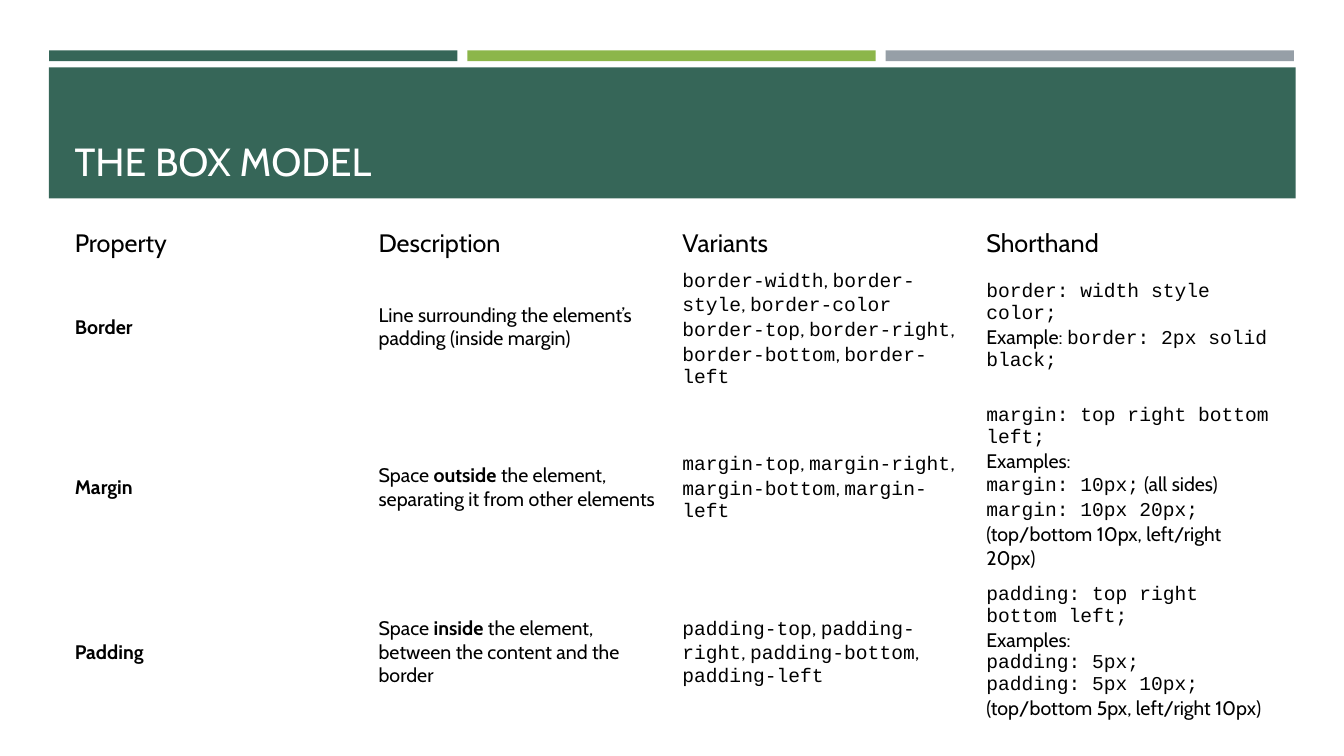
from copy import deepcopy

from pptx import Presentation
from pptx.dml.color import RGBColor
from pptx.enum.shapes import MSO_SHAPE
from pptx.enum.text import MSO_ANCHOR
from pptx.util import Cm, Pt

COLORS = {
    "green": "366658",
    "lime": "8CB64A",
    "grey": "969FA7",
    "black": "000000",
    "white": "FFFFFF",
}
BODY = "Cabin"
CODE = "Courier New"
LEFT, WIDTH = 1.63, 30.63


def text(s):
    return s, BODY, False


def strong(s):
    return s, BODY, True


def code(s):
    return s, CODE, False


def variants(prop, *names):
    runs = []
    for name in names:
        if runs:
            runs.append(text(", "))
        runs.append(code(f"{prop}-{name}"))
    return runs


ROWS = [
    (5.61, 1.02, 18, [
        [[text(name)]]
        for name in ("Property", "Description", "Variants", "Shorthand")
    ]),
    (6.63, 3.18, 14, [
        [[strong("Border")]],
        [[text("Line surrounding the element’s padding (inside margin)")]],
        [variants("border", "width", "style", "color") + [code(" \n")]
         + variants("border", "top", "right", "bottom", "left")],
        [[code("border: width style color; \n"), text("Example: "),
          code("border: 2px solid black;")]],
    ]),
    (9.86, 4.85, 14, [
        [[strong("Margin")]],
        [[text("Space "), strong("outside"),
          text(" the element, separating it from other elements")]],
        [variants("margin", "top", "right", "bottom", "left")],
        [[code("margin: top right bottom left; \n"), text("Examples: \n"),
          code("margin: 10px;"), text(" (all sides) \n"),
          code("margin: 10px 20px;"),
          text(" (top/bottom 10px, left/right 20px)")]],
    ]),
    (14.4, 4.06, 14, [
        [[strong("Padding")]],
        [[text("Space "), strong("inside"),
          text(" the element, between the content and the border")]],
        [variants("padding", "top", "right", "bottom", "left")],
        [[code("padding: top right bottom left; \n"), text("Examples: \n"),
          code("padding: 5px; \npadding: 5px 10px;")],
         [text("(top/bottom 5px, left/right 10px)")]],
    ]),
]


def add_run(p, content, font, bold, size, color):
    for i, line in enumerate(content.split("\n")):
        if i:
            p.add_line_break()
            p._p[-1].append(deepcopy(r._r.rPr))
        if line:
            r = p.add_run()
            r.text = line
            r.font.name = font
            r.font.size = Pt(size)
            r.font.bold = bold
            r.font.color.rgb = RGBColor.from_string(COLORS[color])


def fill_text(tf, paragraphs, size, color):
    for i, runs in enumerate(paragraphs):
        p = tf.add_paragraph() if i else tf.paragraphs[0]
        for content, font, bold in runs:
            add_run(p, content, font, bold, size, color)


def add_bar(s, left, top, width, height, color):
    sp = s.shapes.add_shape(
        MSO_SHAPE.RECTANGLE, Cm(left), Cm(top), Cm(width), Cm(height))
    sp.shadow.inherit = False
    sp.fill.solid()
    sp.fill.fore_color.rgb = RGBColor.from_string(COLORS[color])
    sp.line.fill.background()


def add_title(s, title):
    sp = s.shapes.add_textbox(Cm(LEFT), Cm(1.96), Cm(WIDTH), Cm(2.82))
    tf = sp.text_frame
    tf.word_wrap = True
    tf.vertical_anchor = MSO_ANCHOR.BOTTOM
    fill_text(tf, [[text(title)]], 28, "white")


def add_row_table(s, top, height, size, cells):
    table = s.shapes.add_table(
        1, len(cells), Cm(LEFT), Cm(top), Cm(WIDTH), Cm(height)).table
    table.first_row = False
    table.horz_banding = False
    for cell, paragraphs in zip(table.rows[0].cells, cells):
        cell.fill.background()
        cell.vertical_anchor = MSO_ANCHOR.MIDDLE
        fill_text(cell.text_frame, paragraphs, size, "black")


def main():
    prs = Presentation()
    prs.slide_width, prs.slide_height = Cm(33.87), Cm(19.05)
    s = prs.slides.add_slide(prs.slide_layouts[6])
    for i, color in enumerate(("green", "lime", "grey")):
        add_bar(s, 1.24 + i * 10.54, 1.27, 10.29, 0.27, color)
    add_bar(s, 1.23, 1.7, 31.42, 3.3, "green")
    add_title(s, "THE BOX MODEL")
    for row in ROWS:
        add_row_table(s, *row)
    prs.save("out.pptx")


if __name__ == "__main__":
    main()
